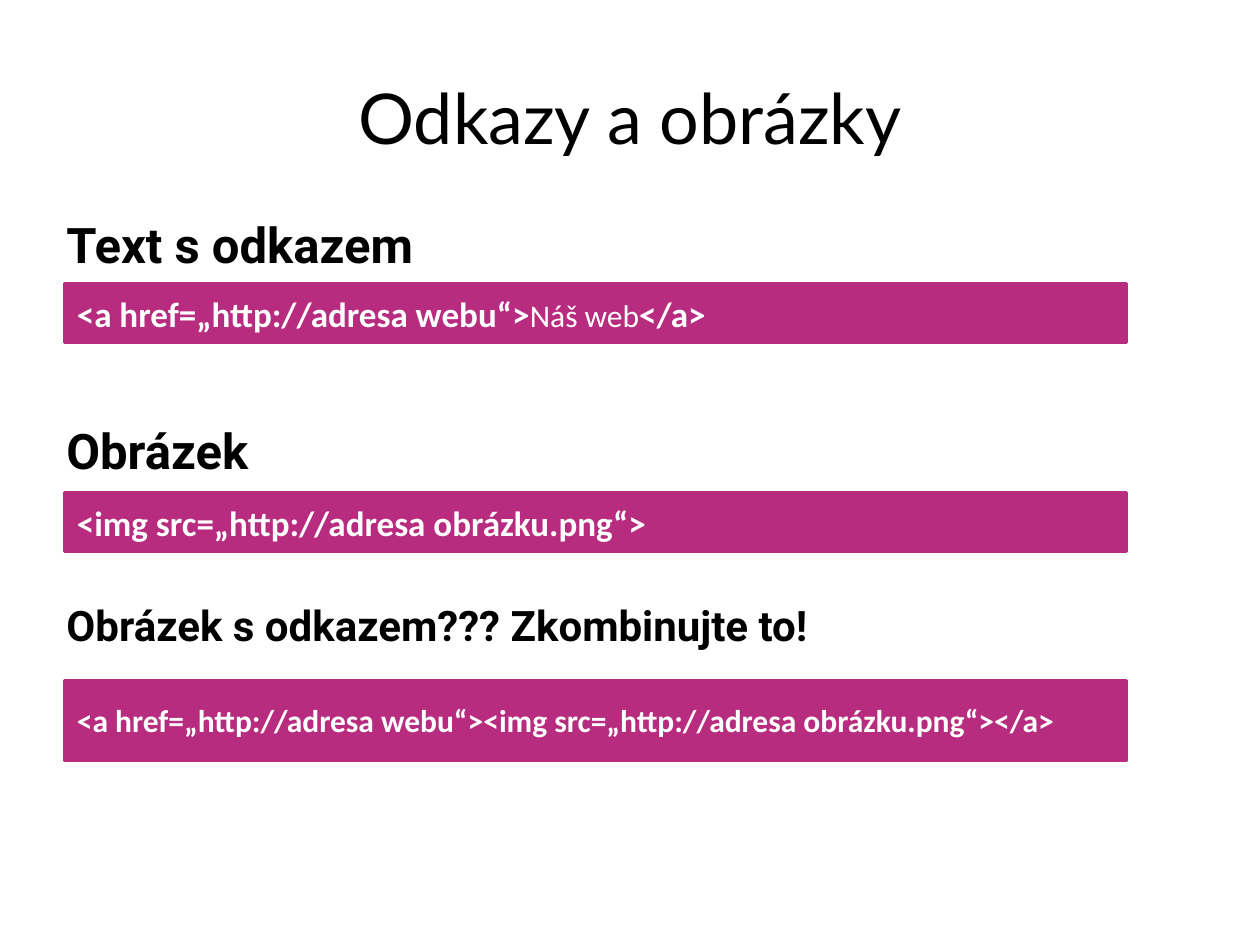
from pptx import Presentation
from pptx.dml.color import RGBColor
from pptx.enum.shapes import MSO_SHAPE as Shape
from pptx.enum.text import MSO_ANCHOR as Anchor, PP_ALIGN as Align
from pptx.util import Cm, Pt

MAGENTA, WHITE, BLACK = "B82C7F", "FFFFFF", "000000"
LINK_OPEN = "<a href=„http://adresa webu“>"
IMAGE_TAG = "<img src=„http://adresa obrázku.png“>"
LINK_CLOSE = "</a>"


def color(value):
    return RGBColor.from_string(value)


def write(box, spans, font, ink, align=Align.LEFT, **frame_format):
    """Fill a box with one paragraph of (text, size, bold) spans."""
    frame = box.text_frame
    frame.word_wrap = True
    for name, value in frame_format.items():
        setattr(frame, name, value)
    para = frame.paragraphs[0]
    para.alignment = align
    for text, size, bold in spans:
        span = para.add_run()
        span.text = text
        span.font.color.rgb = color(ink)
        for name, value in {"name": font, "size": Pt(size), "bold": bold}.items():
            setattr(span.font, name, value)


deck = Presentation()
deck.slide_width, deck.slide_height = Cm(25.4), Cm(19.05)
page = deck.slides.add_slide(deck.slide_layouts[6])

# Title
title = page.shapes.add_textbox(Cm(1.27), Cm(0.76), Cm(22.86), Cm(3.18))
write(title, [("Odkazy a obrázky", 40, False)], "Lato", BLACK,
      Align.CENTER, vertical_anchor=Anchor.MIDDLE)

# Headings: top, size, text
headings = [
    (4.32, 28, "Text s odkazem"),
    (8.48, 28, "Obrázek"),
    (12.09, 24, "Obrázek s odkazem??? Zkombinujte to!"),
]
for top, size, text in headings:
    heading = page.shapes.add_textbox(Cm(1.09), Cm(top), Cm(22.86), Cm(1.2))
    write(heading, [(text, size, True)], "Roboto", BLACK,
          margin_top=0, margin_bottom=0)

# Code bars: top, height, spans
bars = [
    (5.72, 1.19, [(LINK_OPEN, 20, True), ("Náš web", 18, False), (LINK_CLOSE, 20, True)]),
    (9.93, 1.19, [(IMAGE_TAG, 20, True)]),
    (13.72, 1.6, [(LINK_OPEN + IMAGE_TAG + LINK_CLOSE, 18, True)]),
]
for top, height, spans in bars:
    bar = page.shapes.add_shape(Shape.RECTANGLE, Cm(1.3), Cm(top), Cm(21.41), Cm(height))
    bar.shadow.inherit = False
    bar.fill.solid()
    bar.fill.fore_color.rgb = color(MAGENTA)
    bar.line.color.rgb = color(MAGENTA)
    bar.line.width = Pt(2)
    write(bar, spans, "Calibri", WHITE, vertical_anchor=Anchor.MIDDLE)

deck.save("out.pptx")
